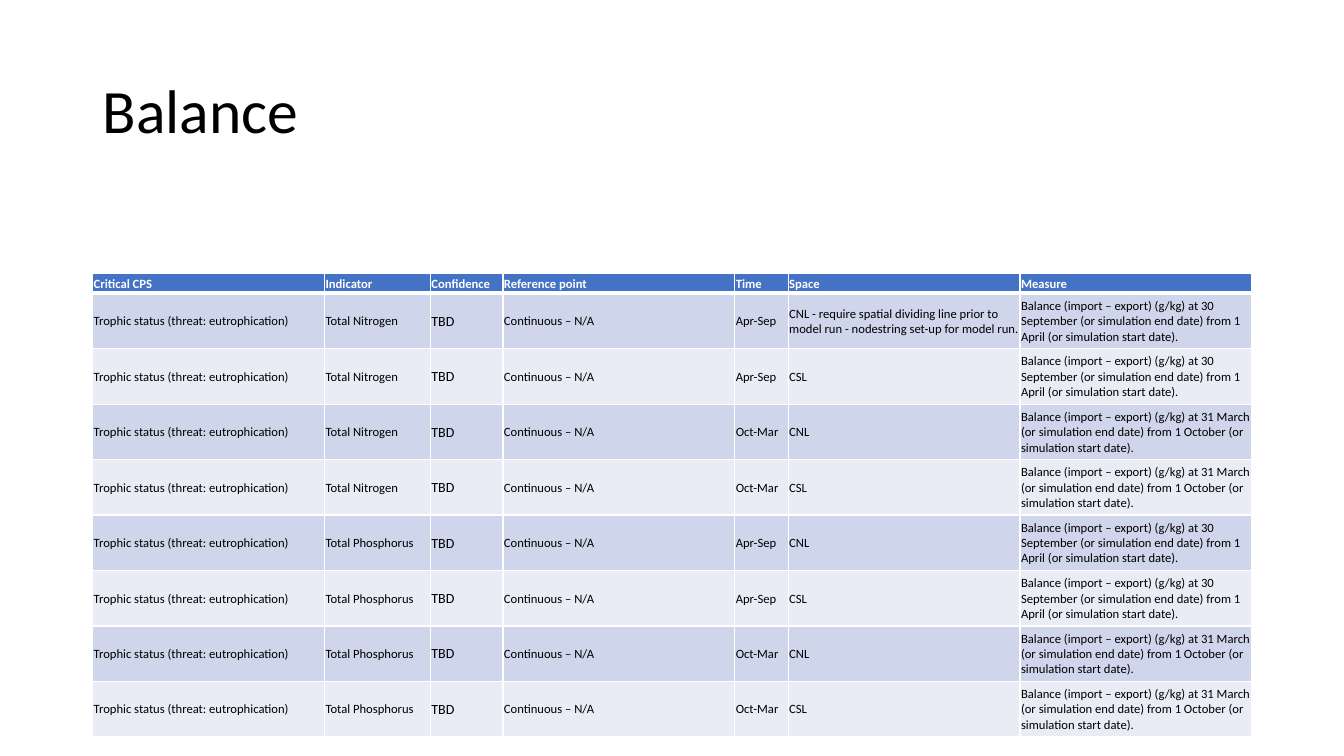
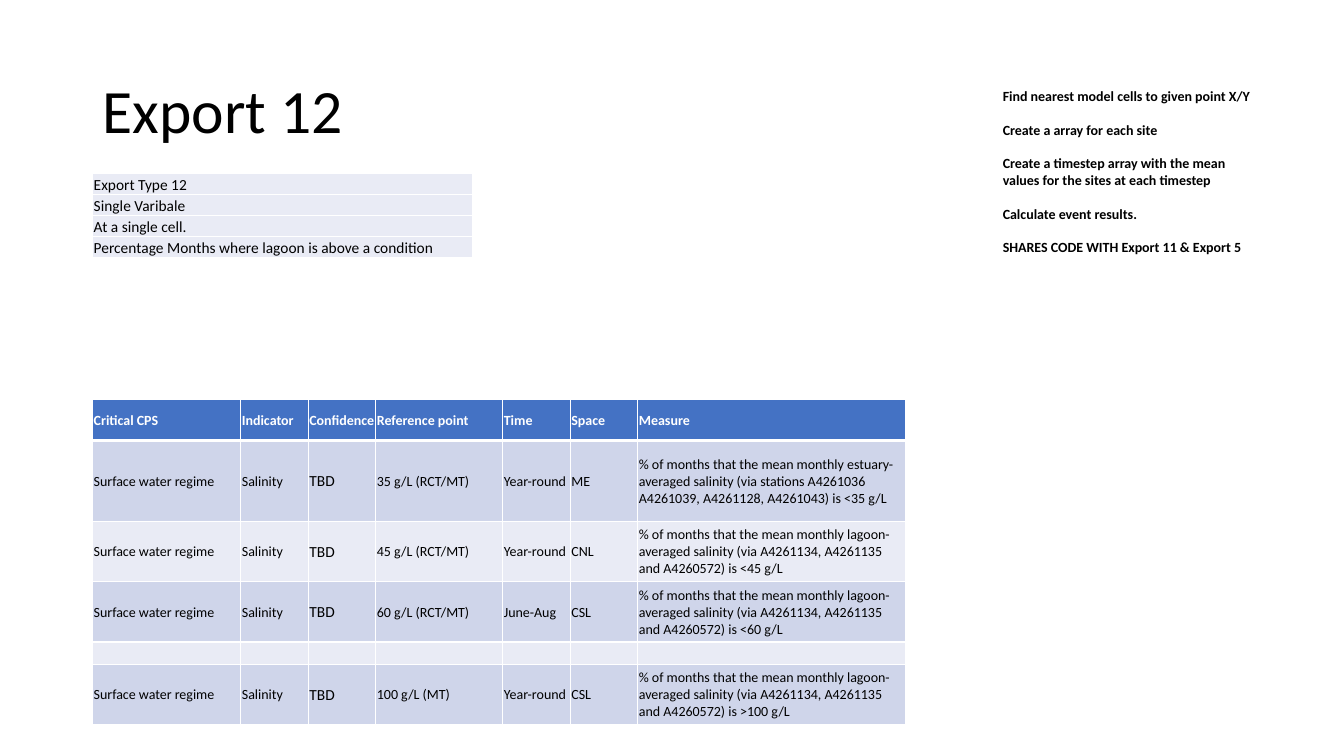
from itertools import product

from lxml import etree
from pptx import Presentation, util as u
from pptx.dml.color import RGBColor
from pptx.enum import text
from pptx.oxml import ns

# Shared look
FONT = "Calibri"
BLACK = RGBColor(0x00, 0x00, 0x00)
WHITE = RGBColor(0xFF, 0xFF, 0xFF)
HEADER_BLUE = RGBColor(0x44, 0x72, 0xC4)
BAND_DARK = RGBColor(0xCF, 0xD5, 0xEA)
BAND_LIGHT = RGBColor(0xE9, 0xEB, 0xF5)

# Grid: 1333 columns by 750 rows, one module is 0.01 inch
MODULE = u.Inches(0.01)
COLUMNS, ROWS = 1333.33, 750
LEFT = 92
TITLE_AREA = (LEFT, 40, 1150, 145)

CELL_FORMAT = {
    "margin_left": MODULE,
    "margin_top": MODULE,
    "margin_right": 0,
    "margin_bottom": 0,
}
TITLE_FORMAT = {
    "word_wrap": True,
    "auto_size": text.MSO_AUTO_SIZE.NONE,
    "vertical_anchor": text.MSO_ANCHOR.MIDDLE,
}
HEADINGS = ("Critical CPS", "Indicator", "Confidence", "Reference point",
            "Time", "Space", "Measure")
CONFIDENCE = HEADINGS.index("Confidence")


def grid(*modules):
    return [int(count * MODULE) for count in modules]


def apply(target, values):
    for name, value in values.items():
        setattr(target, name, value)


def write(paragraph, words, size, color=BLACK, bold=False):
    if not words:
        etree.SubElement(paragraph._p, ns.qn("a:endParaRPr"), sz=str(size * 100))
        return
    run = paragraph.add_run()
    run.text = words
    apply(run.font, {"name": FONT, "size": u.Pt(size), "bold": bold})
    run.font.color.rgb = color


def add_borders(cell, top, bottom):
    properties = cell._tc.get_or_add_tcPr()
    for side, points in (("L", 1), ("R", 1), ("T", top), ("B", bottom)):
        line = etree.SubElement(properties, ns.qn(f"a:ln{side}"),
                                w=str(u.Pt(points)))
        paint = etree.SubElement(line, ns.qn("a:solidFill"))
        etree.SubElement(paint, ns.qn("a:srgbClr"), val=str(WHITE))


def fill_cell(cell, words, size, fill, anchor, top=1, bottom=1, **style):
    add_borders(cell, top, bottom)
    cell.fill.solid()
    cell.fill.fore_color.rgb = fill
    apply(cell, CELL_FORMAT)
    cell.vertical_anchor = anchor
    write(cell.text_frame.paragraphs[0], words, size, **style)


def add_grid(slide, top, widths, heights):
    area = grid(LEFT, top, sum(widths), sum(heights))
    table = slide.shapes.add_table(len(heights), len(widths), *area).table
    for column, width in zip(table.columns, grid(*widths)):
        column.width = width
    for row, height in zip(table.rows, grid(*heights)):
        row.height = height
    return table


def add_indicators(slide, top, widths, heights, records, size):
    table = add_grid(slide, top, widths, heights)
    middle = text.MSO_ANCHOR.MIDDLE
    for c, heading in enumerate(HEADINGS):
        fill_cell(table.cell(0, c), heading, size, HEADER_BLUE, middle,
                  bottom=3, color=WHITE, bold=True)
    for r, record in enumerate(records, 1):
        band = BAND_DARK if r % 2 else BAND_LIGHT
        for c, words in enumerate(record):
            fill_cell(table.cell(r, c), words, size + (c == CONFIDENCE), band,
                      middle, top=3 if r == 1 else 1)


def add_summary(slide, top, lines):
    table = add_grid(slide, top, [377], [21] * len(lines))
    table.first_row = False
    for r, line in enumerate(lines):
        fill_cell(table.cell(r, 0), line, 11, BAND_LIGHT, text.MSO_ANCHOR.BOTTOM)


def add_steps(slide, area, steps):
    frame = slide.shapes.add_textbox(*grid(*area)).text_frame
    frame.word_wrap = True
    for i, step in enumerate(steps):
        paragraph = frame.add_paragraph() if i else frame.paragraphs[0]
        paragraph.space_after = u.Pt(12)
        write(paragraph, step, 10, bold=True)


def add_titled_slide(deck, heading):
    slide = deck.slides.add_slide(deck.slide_layouts[5])
    title = slide.shapes.title
    apply(title, dict(zip(("left", "top", "width", "height"), grid(*TITLE_AREA))))
    apply(title.text_frame, TITLE_FORMAT)
    paragraph = title.text_frame.paragraphs[0]
    apply(paragraph, {"alignment": text.PP_ALIGN.LEFT, "line_spacing": 0.9})
    write(paragraph, heading, 44)
    return slide


def balance_records():
    seasons = (("Apr-Sep", "30 September", "1 April"),
               ("Oct-Mar", "31 March", "1 October"))
    records = [
        ["Trophic status (threat: eutrophication)", f"Total {nutrient}", "TBD",
         "Continuous – N/A", months, lagoon,
         f"Balance (import – export) (g/kg) at {end} (or simulation end date) "
         f"from {start} (or simulation start date)."]
        for nutrient, (months, end, start), lagoon
        in product(("Nitrogen", "Phosphorus"), seasons, ("CNL", "CSL"))
    ]
    records[0][HEADINGS.index("Space")] += (
        " - require spatial dividing line prior to model run"
        " - nodestring set-up for model run.")
    return records


def salinity_record(limit, basis, months, space, sign="<", zone="lagoon",
                    stations="A4261134, A4261135 and A4260572"):
    return ("Surface water regime", "Salinity", "TBD", f"{limit} g/L ({basis})",
            months, space,
            f"% of months that the mean monthly {zone}-averaged salinity "
            f"(via {stations}) is {sign}{limit} g/L")


def main():
    deck = Presentation()
    deck.slide_width, deck.slide_height = grid(COLUMNS, ROWS)

    # Nutrient balance
    balance = add_titled_slide(deck, "Balance")
    add_indicators(balance, 271, [230, 105, 72, 230, 53, 230, 230],
                   [20] + [55] * 8, balance_records(), 9)

    # Salinity export
    export = add_titled_slide(deck, "Export 12")
    salinity = [
        salinity_record(35, "RCT/MT", "Year-round", "ME", zone="estuary",
                        stations="stations A4261036 A4261039, A4261128, A4261043"),
        salinity_record(45, "RCT/MT", "Year-round", "CNL"),
        salinity_record(60, "RCT/MT", "June-Aug", "CSL"),
        [""] * len(HEADINGS),
        salinity_record(100, "MT", "Year-round", "CSL", sign=">"),
    ]
    add_indicators(export, 396, [147, 67, 67, 126, 67, 67, 266],
                   [41, 80, 60, 60, 22, 60], salinity, 10)
    add_summary(export, 172, [
        "Export Type 12",
        "Single Varibale",
        "At a single cell.",
        "Percentage Months where lagoon is above a condition",
    ])
    add_steps(export, (985, 82, 267, 229), [
        "Find nearest model cells to given point X/Y",
        "Create a array for each site",
        "Create a timestep array with the mean values for the sites at each timestep",
        "Calculate event results.",
        "SHARES CODE WITH Export 11 & Export 5",
    ])

    deck.save("out.pptx")


main()
